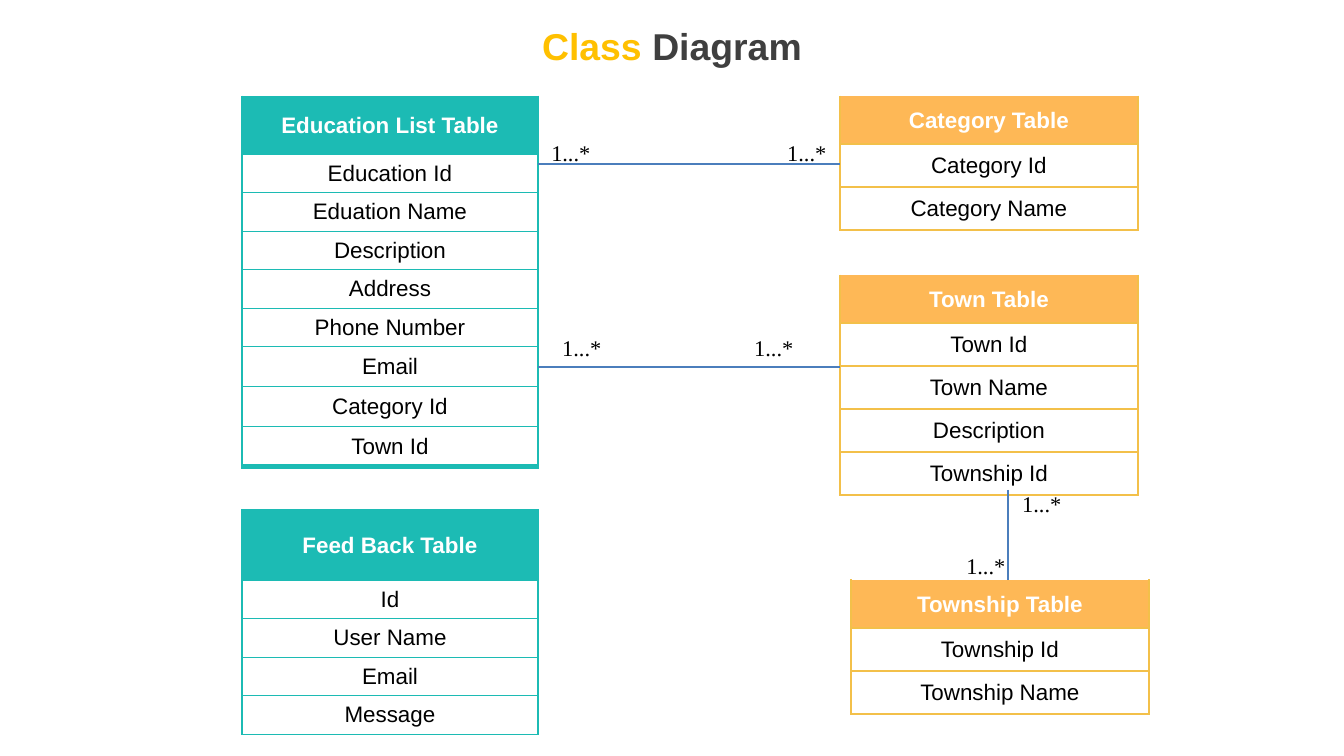
from lxml.etree import SubElement
from pptx import Presentation
from pptx.dml.color import RGBColor
from pptx.enum.shapes import MSO_CONNECTOR
from pptx.enum.text import MSO_ANCHOR, PP_ALIGN
from pptx.oxml.ns import qn
from pptx.util import Emu, Pt

PX = 914400 / 134.4
TEAL, ORANGE, GOLD = "1CBBB4", "FEB856", "F3C04A"


def px(*lengths):
    return [Emu(round(length * PX)) for length in lengths]


def color(hex_string):
    return RGBColor.from_string(hex_string)


presentation = Presentation()
presentation.slide_width, presentation.slide_height = px(1344, 756)
slide = presentation.slides.add_slide(presentation.slide_layouts[5])

title = slide.shapes.title
title.left, title.top, title.width, title.height = px(0, 4, 1344, 83)
title.text_frame.vertical_anchor = MSO_ANCHOR.MIDDLE
paragraph = title.text_frame.paragraphs[0]
paragraph.alignment = PP_ALIGN.CENTER
paragraph.font.name = "Arial"
paragraph.font.size = Pt(20)
paragraph.font.bold = True
for text, hex_string in [("Class ", "FFC000"), ("Diagram", "3F3F3F")]:
    run = paragraph.add_run()
    run.text = text
    run.font.color.rgb = color(hex_string)

teal_style = (296, TEAL, TEAL, 0.75)
orange_style = (298, ORANGE, GOLD, 1)
class_tables = [
    (242, 98, teal_style, [56] + [38] * 5 + [40] * 3, 3,
     ["Education List Table", "Education Id", "Eduation Name", "Description", "Address",
      "Phone Number", "Email", "Category Id", "Town Id"]),
    (840, 98, orange_style, [46, 43, 43], 1,
     ["Category Table", "Category Id", "Category Name"]),
    (840, 277, orange_style, [46] + [43] * 4, 1,
     ["Town Table", "Town Id", "Town Name", "Description", "Township Id"]),
    (851, 582, orange_style, [46, 43, 43], 1,
     ["Township Table", "Township Id", "Township Name"]),
    (242, 512, teal_style, [68] + [38] * 4, 0.75,
     ["Feed Back Table", "Id", "User Name", "Email", "Message"]),
]
for left, top, style, heights, bottom_width, names in class_tables:
    width, header_fill, border_color, border_width = style
    frame = slide.shapes.add_table(len(names), 1, *px(left, top, width, sum(heights)))
    table = frame.table
    table.first_row = table.horz_banding = False
    for index, (name, height) in enumerate(zip(names, heights)):
        is_header = index == 0
        is_last = index == len(names) - 1
        table.rows[index].height = px(height)[0]
        cell = table.cell(index, 0)
        cell.vertical_anchor = MSO_ANCHOR.MIDDLE
        cell.text = name
        paragraph = cell.text_frame.paragraphs[0]
        paragraph.alignment = PP_ALIGN.CENTER
        paragraph.font.name = "Arial"
        paragraph.font.size = Pt(12)
        paragraph.font.bold = is_header
        paragraph.font.color.rgb = color("FFFFFF" if is_header else "000000")

        borders = {side: (border_color, border_width) for side in ("lnL", "lnR", "lnT", "lnB")}
        if is_header:
            borders["lnT"] = (header_fill, 3)
        if is_last:
            borders["lnB"] = (border_color, bottom_width)
        properties = cell._tc.get_or_add_tcPr()
        for side, (hex_string, points) in borders.items():
            line = SubElement(properties, qn(f"a:{side}"), w=str(Pt(points)))
            SubElement(SubElement(line, qn("a:solidFill")), qn("a:srgbClr"), val=hex_string)

        if is_header:
            cell.fill.solid()
            cell.fill.fore_color.rgb = color(header_fill)
        else:
            cell.fill.background()

for ends in [(538, 164, 840, 164), (538, 367, 840, 367), (1008, 490, 1008, 580)]:
    connector = slide.shapes.add_connector(MSO_CONNECTOR.STRAIGHT, *px(*ends))
    connector.line.color.rgb = color("4B7EBC")
    connector.line.width = Pt(0.75)
    SubElement(connector._element.spPr, qn("a:effectLst"))

for left, top in [(549, 328), (741, 328), (538, 132), (774, 132), (1009, 484), (953, 546)]:
    multiplicity = slide.shapes.add_textbox(*px(left, top, 99, 39))
    multiplicity.text_frame.word_wrap = True
    paragraph = multiplicity.text_frame.paragraphs[0]
    paragraph.text = "1...*"
    paragraph.font.name = "Times New Roman"
    paragraph.font.size = Pt(12)
    paragraph.font.color.rgb = color("000000")

presentation.save("out.pptx")
